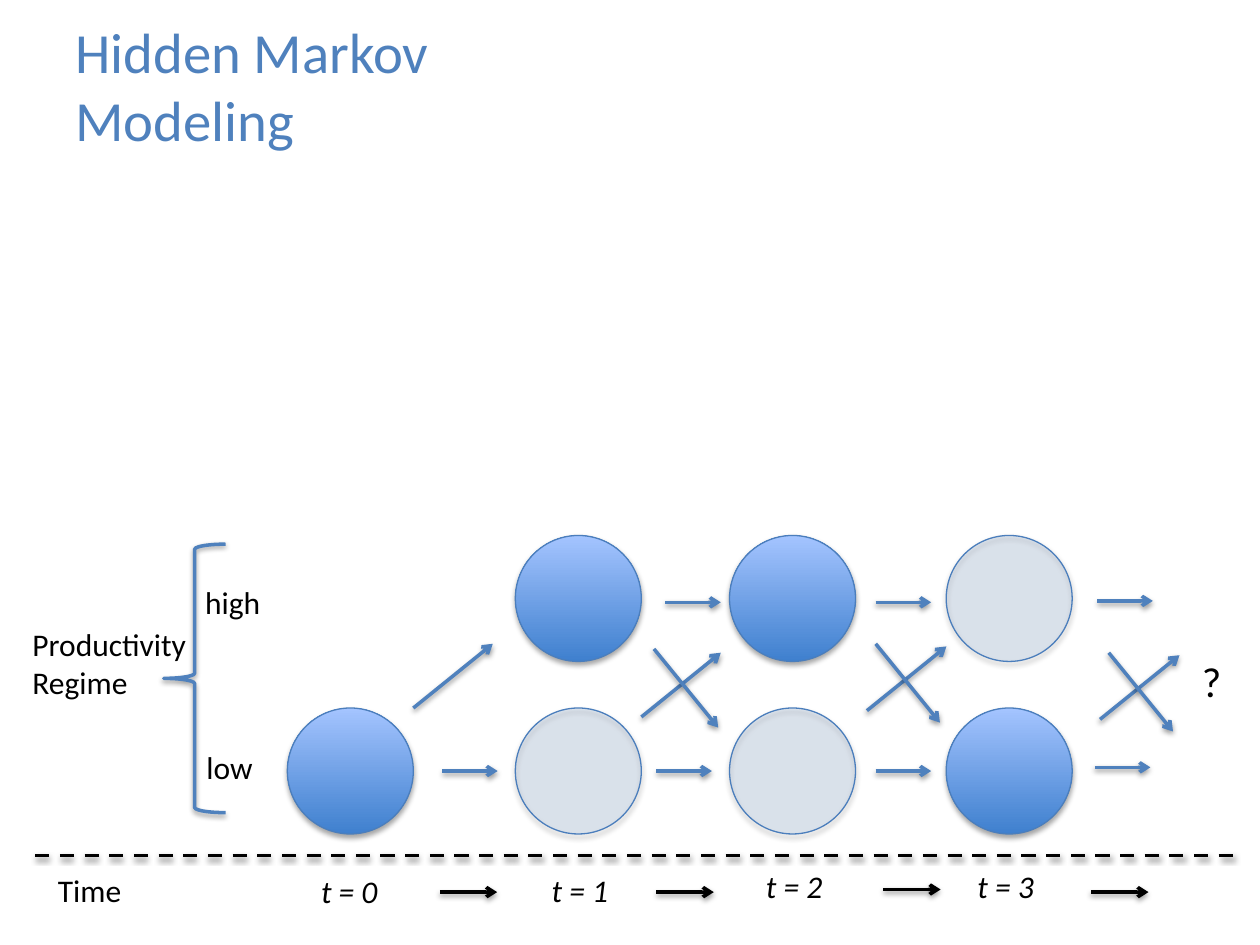
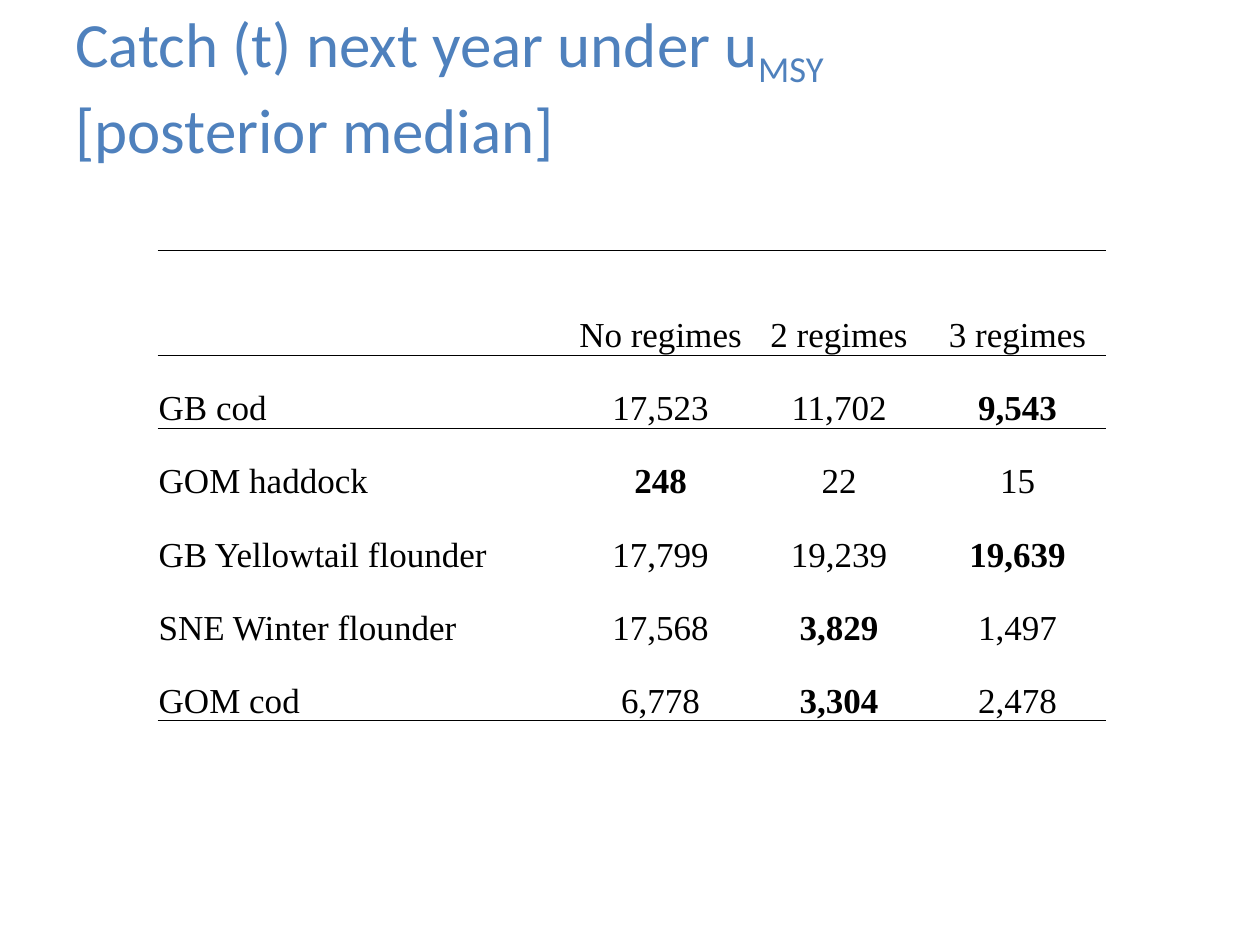
from pptx import Presentation
from pptx.dml.color import RGBColor
from pptx.enum.dml import MSO_LINE
from pptx.enum.shapes import MSO_CONNECTOR, MSO_SHAPE
from pptx.enum.text import MSO_ANCHOR, PP_ALIGN
from pptx.oxml.ns import qn
from pptx.oxml.xmlchemy import OxmlElement
from pptx.util import Pt

BLUE = RGBColor(0x4F, 0x81, 0xBD)
OUTLINE = RGBColor(0x4B, 0x7E, 0xBC)
GRADIENT_DARK = RGBColor(0x3F, 0x80, 0xCE)
GRADIENT_LIGHT = RGBColor(0xA4, 0xC4, 0xFF)
BLACK = RGBColor(0, 0, 0)

STRAIGHT = MSO_CONNECTOR.STRAIGHT
DASH = MSO_LINE.DASH
OVAL = MSO_SHAPE.OVAL
LEFT_BRACE = MSO_SHAPE.LEFT_BRACE
MIDDLE = MSO_ANCHOR.MIDDLE
BOTTOM = MSO_ANCHOR.BOTTOM
CENTER = PP_ALIGN.CENTER
LEFT = PP_ALIGN.LEFT

BODY_FONT = "Calibri"
TABLE_FONT = "Times New Roman"
NO_TABLE_STYLE = "{2D5ABB26-0587-4C30-8999-92F81FD0307C}"


def add_child(parent, tag, **attributes):
    child = OxmlElement(tag)
    for name, value in attributes.items():
        child.set(name, str(value))
    parent.append(child)
    return child


def set_font(paragraph, size, color=BLACK, name=BODY_FONT):
    paragraph.font.name = name
    paragraph.font.size = Pt(size)
    paragraph.font.color.rgb = color


def add_shadow(shape, distance, opacity):
    properties = shape.element.spPr
    effects = properties.find(qn("a:effectLst"))
    if effects is None:
        effects = add_child(properties, "a:effectLst")
    shadow = add_child(effects, "a:outerShdw", blurRad=Pt(3.1), dist=Pt(distance),
                       dir=5400000, rotWithShape=0)
    color = add_child(shadow, "a:srgbClr", val=BLACK)
    add_child(color, "a:alpha", val=opacity * 1000)


def add_line(slide, left, top, width, height=0, color=BLUE, arrow=True):
    line = slide.shapes.add_connector(STRAIGHT, Pt(left), Pt(top),
                                      Pt(left + width), Pt(top + height))
    line.line.color.rgb = color
    line.line.width = Pt(2)
    if arrow:
        add_child(line.line._get_or_add_ln(), "a:tailEnd", type="arrow")
    else:
        line.line.dash_style = DASH
    add_shadow(line, 1.6, 38)


def add_label(slide, text, left, top, width, height=29, size=18, italic=False, wrap=False):
    box = slide.shapes.add_textbox(Pt(left), Pt(top), Pt(width), Pt(height))
    box.text_frame.word_wrap = wrap
    paragraph = box.text_frame.paragraphs[0]
    paragraph.text = text
    set_font(paragraph, size)
    if italic:
        paragraph.font.italic = True


def add_title(slide, first_line, second_line, size, subscript=None):
    box = slide.shapes.add_textbox(Pt(36), Pt(14.4), Pt(648), Pt(68.4))
    box.text_frame.word_wrap = True
    box.text_frame.vertical_anchor = MIDDLE
    paragraph = box.text_frame.paragraphs[0]
    set_font(paragraph, size, BLUE)
    paragraph.add_run().text = first_line
    if subscript:
        run = paragraph.add_run()
        run.text = subscript
        run.font._element.set("baseline", "-25000")
    paragraph.add_line_break()
    paragraph.add_run().text = second_line


def add_state(slide, left, top, active):
    state = slide.shapes.add_shape(OVAL, Pt(left), Pt(top), Pt(72), Pt(72))
    state.shadow.inherit = False
    if active:
        state.fill.gradient()
        state.fill.gradient_angle = 90
        for stop, color in zip(state.fill.gradient_stops, (GRADIENT_DARK, GRADIENT_LIGHT)):
            stop.color.rgb = color
    else:
        state.fill.solid()
        state.fill.fore_color.rgb = BLUE
        color = state.element.spPr.find(qn("a:solidFill")).find(qn("a:srgbClr"))
        add_child(color, "a:alpha", val=15000)
    state.line.color.rgb = OUTLINE
    state.line.width = Pt(0.75)
    add_shadow(state, 1.8, 35)


def add_state_lattice(slide, left, top):
    columns = (0, 130.3, 252.7, 376.5)
    row_tops = {"high": 0, "low": 98.6}
    active_rows = ("low", "high", "high", "low")
    for index, (column, active_row) in enumerate(zip(columns, active_rows)):
        for row, row_top in row_tops.items():
            if index > 0 or row == active_row:
                add_state(slide, left + column, top + row_top, row == active_row)

    rising = [(72, 98.6), (202.3, 103.7), (331.2, 100.1), (464.4, 105.1)]
    falling = [(209.5, 64.8), (336.2, 61.9), (469.4, 67)]
    staying = [(88.5, 134.6), (216, 38.2), (336.2, 38.2), (210.9, 134.6),
               (336.2, 134.6), (461.5, 132.5), (462.9, 37.4)]
    for starts, width, height in ((rising, 45.4, -36.7), (falling, 36.7, 45), (staying, 31.7, 0)):
        for x, y in starts:
            add_line(slide, left + x, top + y, width, height)
    add_label(slide, "?", left + 515.5, top + 64.8, 34.6, 36, size=24)


def add_regime_axis(slide, left, top):
    add_label(slide, "Productivity Regime", left, top + 42.5, 103, 51, wrap=True)
    brace = slide.shapes.add_shape(LEFT_BRACE, Pt(left + 82.1), Pt(top), Pt(35.3), Pt(153.4))
    brace.shadow.inherit = False
    brace.fill.background()
    brace.line.color.rgb = BLUE
    brace.line.width = Pt(2)
    add_shadow(brace, 1.6, 38)
    add_label(slide, "high", left + 98.7, top + 18.8, 64.8, wrap=True)
    add_label(slide, "low", left + 99.4, top + 113.1, 64.8, wrap=True)


def add_time_axis(slide, left, top, width):
    add_line(slide, left, top, width, color=BLACK, arrow=False)
    add_label(slide, "Time", left + 5.8, top + 5, 132.5, wrap=True)
    labels = [(156.2, 5.7), (288, 5), (410.4, 2.9), (531.3, 2.9)]
    arrows = [(231.1, 20.9), (354.9, 20.9), (484.5, 19.4), (603.3, 20.9)]
    for step, (label, arrow) in enumerate(zip(labels, arrows)):
        add_label(slide, f"t = {step}", left + label[0], top + label[1], 48.2, italic=True)
        add_line(slide, left + arrow[0], top + arrow[1], 32.8, color=BLACK)


def add_cell_border(cell, tag):
    border = add_child(cell._tc.get_or_add_tcPr(), tag, w=Pt(0.5))
    fill = add_child(border, "a:solidFill")
    add_child(fill, "a:srgbClr", val=BLACK)


def add_catch_table(slide, left, top, rows, bold_cells):
    column_widths = (237, 101, 103, 101)
    row_heights = [59.8] + [41.8] * (len(rows) - 1)
    frame = slide.shapes.add_table(len(rows), len(column_widths), Pt(left), Pt(top),
                                   Pt(sum(column_widths)), Pt(sum(row_heights)))
    table = frame.table
    table.first_row = False
    table.horz_banding = False
    next(frame.element.iter(qn("a:tableStyleId"))).text = NO_TABLE_STYLE
    for column, width in zip(table.columns, column_widths):
        column.width = Pt(width)
    for row_index, values in enumerate(rows):
        table.rows[row_index].height = Pt(row_heights[row_index])
        for column_index, value in enumerate(values):
            cell = table.cell(row_index, column_index)
            cell.vertical_anchor = BOTTOM
            cell.margin_left = cell.margin_right = cell.margin_top = Pt(0.7)
            cell.margin_bottom = 0
            if row_index < 2:
                add_cell_border(cell, "a:lnT")
            if row_index in (0, len(rows) - 1):
                add_cell_border(cell, "a:lnB")
            cell.fill.background()
            paragraph = cell.text_frame.paragraphs[0]
            paragraph.text = value
            paragraph.alignment = CENTER if column_index else LEFT
            set_font(paragraph, 20, name=TABLE_FONT)
            paragraph.font.bold = (row_index, column_index) in bold_cells


def build_model_slide(slide):
    add_title(slide, "Hidden Markov", "Modeling", 32.4)
    add_state_lattice(slide, 164.2, 306)
    add_regime_axis(slide, 11.5, 311)
    add_time_axis(slide, 20.2, 488.9, 688.3)


def build_catch_slide(slide):
    rows = [
        ("", "No regimes", "2 regimes", "3 regimes"),
        ("GB cod", "17,523", "11,702", "9,543"),
        ("GOM haddock", "248", "22", "15"),
        ("GB Yellowtail flounder", "17,799", "19,239", "19,639"),
        ("SNE Winter flounder", "17,568", "3,829", "1,497"),
        ("GOM cod", "6,778", "3,304", "2,478"),
    ]
    add_catch_table(slide, 90, 143.2, rows, {(1, 3), (2, 1), (3, 3), (4, 2), (5, 2)})
    add_title(slide, "Catch (t) next year under u", "[posterior median]", 36, subscript="MSY")


def main():
    presentation = Presentation()
    presentation.slide_width = Pt(720)
    presentation.slide_height = Pt(540)
    blank = presentation.slide_layouts[6]
    for build in (build_model_slide, build_catch_slide):
        build(presentation.slides.add_slide(blank))
    presentation.save("out.pptx")


if __name__ == "__main__":
    main()
